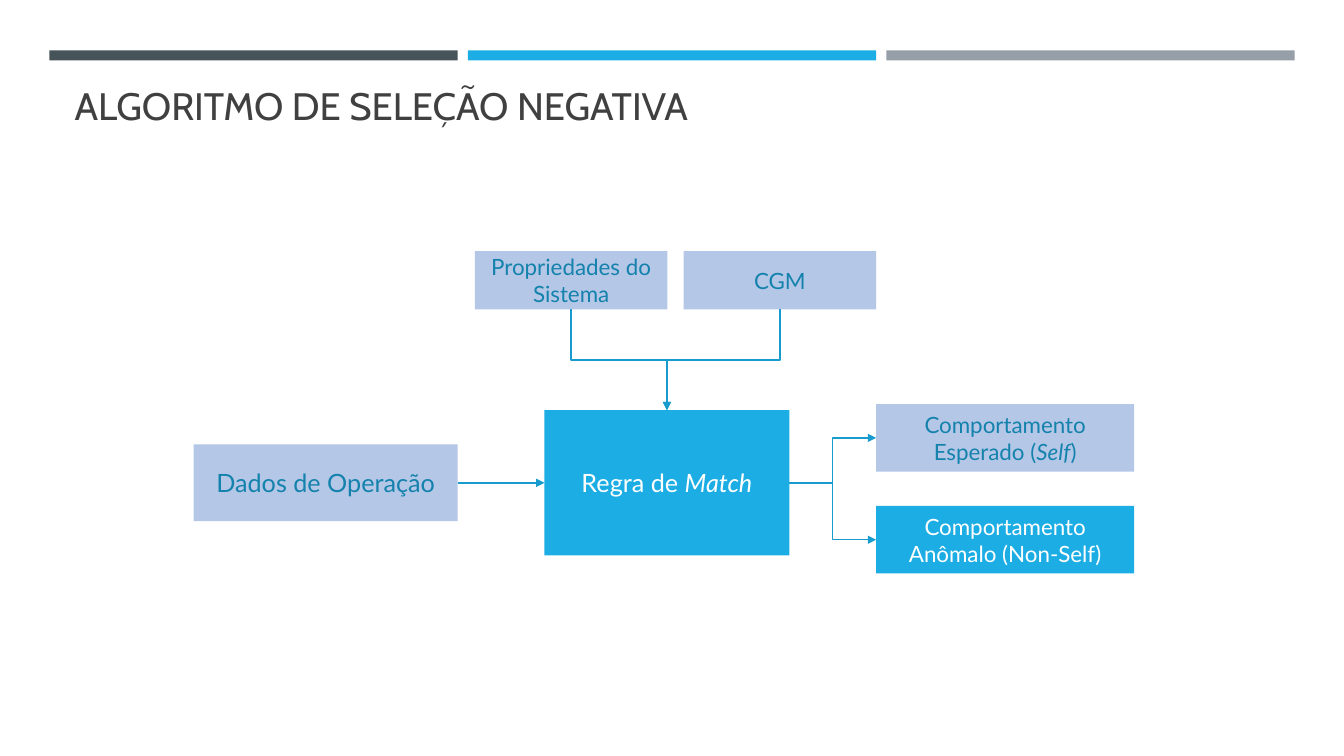
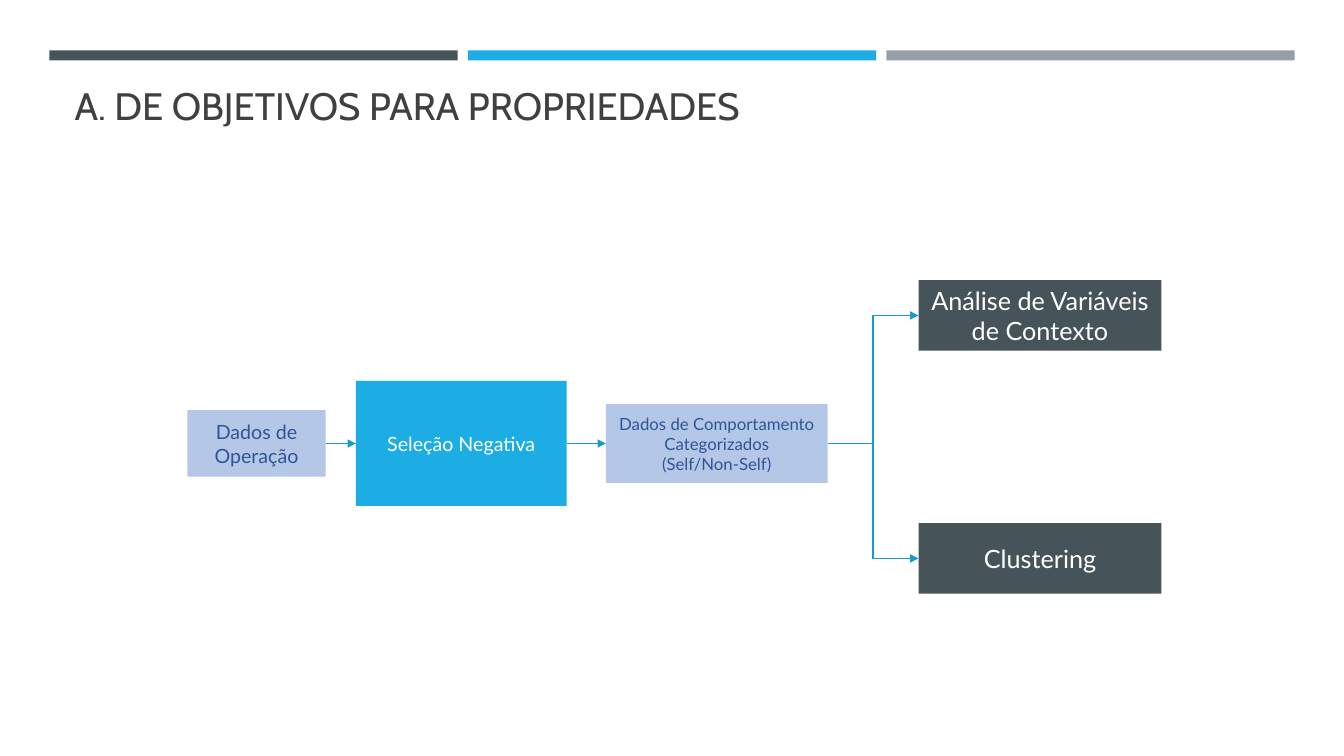
"""Build two flow-diagram slides about negative selection."""
from dataclasses import dataclass
from typing import Any

from lxml.etree import SubElement
from pptx import Presentation
from pptx.dml.color import RGBColor
from pptx.enum.shapes import MSO_CONNECTOR, MSO_SHAPE
from pptx.enum.text import MSO_ANCHOR, MSO_AUTO_SIZE, PP_ALIGN
from pptx.oxml.ns import qn
from pptx.shapes.autoshape import Shape
from pptx.slide import Slide, SlideLayout
from pptx.util import Emu, Pt

EMU_PER_PX = 9144
SLIDE_WIDTH, SLIDE_HEIGHT = 1333, 750
TITLE_ONLY = 5
TOP, LEFT, BOTTOM, RIGHT = range(4)

SLATE, BLUE, GRAY, PALE = "465359", "1CADE4", "969FA7", "B4C7E7"
WHITE, TEAL, NAVY = "FFFFFF", "1482AC", "2F5597"
TITLE_COLOR, ARROW_COLOR = "404040", "189CCE"

BAND_LEFT, BAND_TOP, BAND_WIDTH, BAND_HEIGHT, BAND_PITCH = 49, 50, 405, 10, 415
TITLE_AREA = (64, 77, 1206, 55)

TITLE_FRAME = {
    "word_wrap": True,
    "auto_size": MSO_AUTO_SIZE.NONE,
    "vertical_anchor": MSO_ANCHOR.BOTTOM,
}
TITLE_FONT = {"name": "Cabin", "size": Pt(27.3), "bold": False}
BOX_FRAME = {"word_wrap": True, "vertical_anchor": MSO_ANCHOR.MIDDLE}


@dataclass(frozen=True)
class Box:
    """A filled rectangle; each text line is a paragraph, *starred* words are italic."""

    key: str
    text: str
    left: int
    top: int
    width: int
    height: int
    size: int
    fill: str = PALE
    color: str = WHITE


@dataclass(frozen=True)
class Arrow:
    """An arrow between the side middles of two boxes."""

    start: str
    end: str
    kind: MSO_CONNECTOR = MSO_CONNECTOR.ELBOW
    start_side: int = RIGHT
    end_side: int = LEFT


@dataclass(frozen=True)
class Diagram:
    """The title, boxes and arrows of one slide."""

    title: str
    boxes: tuple[Box, ...]
    arrows: tuple[Arrow, ...]


DIAGRAMS = (
    Diagram(
        "ALGORITMO DE SELEÇÃO NEGATIVA",
        (
            Box("self", "Comportamento Esperado (*Self*)", 869, 401, 256, 67, 16, PALE, TEAL),
            Box("match", "Regra de *Match*", 540, 407, 243, 144, 18, BLUE),
            Box("non_self", "Comportamento Anômalo (Non-Self)", 869, 502, 256, 67, 16, BLUE),
            Box("cgm", "CGM", 678, 249, 191, 58, 16, PALE, TEAL),
            Box("properties", "Propriedades do Sistema", 471, 249, 191, 58, 16, PALE, TEAL),
            Box("data", "Dados de Operação", 192, 441, 262, 76, 18, PALE, TEAL),
        ),
        (
            Arrow("match", "self"),
            Arrow("match", "non_self"),
            Arrow("cgm", "match", start_side=BOTTOM, end_side=TOP),
            Arrow("properties", "match", start_side=BOTTOM, end_side=TOP),
            Arrow("data", "match", MSO_CONNECTOR.STRAIGHT),
        ),
    ),
    Diagram(
        "A. DE OBJETIVOS PARA PROPRIEDADES",
        (
            Box("categorized", "Dados de Comportamento Categorizados\n(Self/Non-Self)",
                601, 401, 220, 78, 12, PALE, NAVY),
            Box("selection", "Seleção Negativa", 353, 378, 209, 124, 14, BLUE),
            Box("data", "Dados de Operação", 186, 407, 137, 66, 14, PALE, NAVY),
            Box("analysis", "Análise de Variáveis de Contexto", 911, 278, 241, 70, 18, SLATE),
            Box("clustering", "Clustering", 911, 519, 241, 70, 18, SLATE),
        ),
        (
            Arrow("selection", "categorized", MSO_CONNECTOR.STRAIGHT),
            Arrow("data", "selection", MSO_CONNECTOR.STRAIGHT),
            Arrow("categorized", "analysis"),
            Arrow("categorized", "clustering"),
        ),
    ),
)


def px(length: int) -> Emu:
    """Turn pixels into EMU."""
    return Emu(length * EMU_PER_PX)


def rgb(value: str) -> RGBColor:
    """Turn a hex string into a colour."""
    return RGBColor.from_string(value)


def apply_format(target: Any, values: dict[str, Any]) -> None:
    """Set each named attribute on the target."""
    for name, value in values.items():
        setattr(target, name, value)


def add_rectangle(slide: Slide, left: int, top: int, width: int, height: int, fill: str) -> Shape:
    """Add a plain filled rectangle."""
    shape = slide.shapes.add_shape(
        MSO_SHAPE.RECTANGLE, px(left), px(top), px(width), px(height)
    )
    shape.shadow.inherit = False
    shape.fill.solid()
    shape.fill.fore_color.rgb = rgb(fill)
    shape.line.fill.background()
    return shape


def add_bands(slide: Slide, layout: SlideLayout) -> None:
    """Draw the three top bands and hand them to the shared layout."""
    for index, fill in enumerate((SLATE, BLUE, GRAY)):
        left = BAND_LEFT + index * BAND_PITCH
        band = add_rectangle(slide, left, BAND_TOP, BAND_WIDTH, BAND_HEIGHT, fill)
        layout.shapes.element.append(band.element)


def set_title(slide: Slide, text: str) -> None:
    """Place, fill and format the title placeholder."""
    title = slide.shapes.title
    apply_format(title, dict(zip(("left", "top", "width", "height"), map(px, TITLE_AREA))))
    title.text_frame.text = text
    apply_format(title.text_frame, TITLE_FRAME)
    paragraph = title.text_frame.paragraphs[0]
    paragraph.alignment = PP_ALIGN.LEFT
    font = paragraph.runs[0].font
    apply_format(font, TITLE_FONT)
    font.color.rgb = rgb(TITLE_COLOR)


def add_box(slide: Slide, box: Box) -> Shape:
    """Add a box with its centred text."""
    shape = add_rectangle(slide, box.left, box.top, box.width, box.height, box.fill)
    frame = shape.text_frame
    apply_format(frame, BOX_FRAME)
    for index, line in enumerate(box.text.split("\n")):
        paragraph = frame.add_paragraph() if index else frame.paragraphs[0]
        paragraph.alignment = PP_ALIGN.CENTER
        for position, words in enumerate(line.split("*")):
            if words:
                run = paragraph.add_run()
                run.text = words
                apply_format(
                    run.font,
                    {"name": "Lato", "size": Pt(box.size), "italic": position % 2 == 1},
                )
                run.font.color.rgb = rgb(box.color)
    return shape


def turn_downward(connector: Any) -> None:
    """Rotate an elbow connector so that it leaves its start downward."""
    goes_right = connector.end_x > connector.begin_x
    left, top, width, height = connector.left, connector.top, connector.width, connector.height
    transform = connector.element.spPr.find(qn("a:xfrm"))
    transform.attrib.clear()
    transform.set("rot", str(90 * 60000))
    if goes_right:
        transform.set("flipV", "1")
    apply_format(connector, {
        "left": Emu(left + (width - height) // 2),
        "top": Emu(top + (height - width) // 2),
        "width": height,
        "height": width,
    })


def add_arrow(slide: Slide, arrow: Arrow, shapes: dict[str, Shape]) -> None:
    """Join two boxes with an arrow."""
    connector = slide.shapes.add_connector(arrow.kind, 0, 0, 0, 0)
    connector.begin_connect(shapes[arrow.start], arrow.start_side)
    connector.end_connect(shapes[arrow.end], arrow.end_side)
    if arrow.start_side == BOTTOM:
        turn_downward(connector)
    connector.line.width = Pt(1)
    connector.line.color.rgb = rgb(ARROW_COLOR)
    properties = connector.element.spPr
    SubElement(properties.find(qn("a:ln")), qn("a:tailEnd"), type="triangle")
    SubElement(properties, qn("a:effectLst"))


def main() -> None:
    """Build and save the presentation."""
    presentation = Presentation()
    presentation.slide_width = px(SLIDE_WIDTH)
    presentation.slide_height = px(SLIDE_HEIGHT)
    layout = presentation.slide_layouts[TITLE_ONLY]
    for index, diagram in enumerate(DIAGRAMS):
        slide = presentation.slides.add_slide(layout)
        if index == 0:
            add_bands(slide, layout)
        set_title(slide, diagram.title)
        shapes = {box.key: add_box(slide, box) for box in diagram.boxes}
        for arrow in diagram.arrows:
            add_arrow(slide, arrow, shapes)
    presentation.save("out.pptx")


if __name__ == "__main__":
    main()
